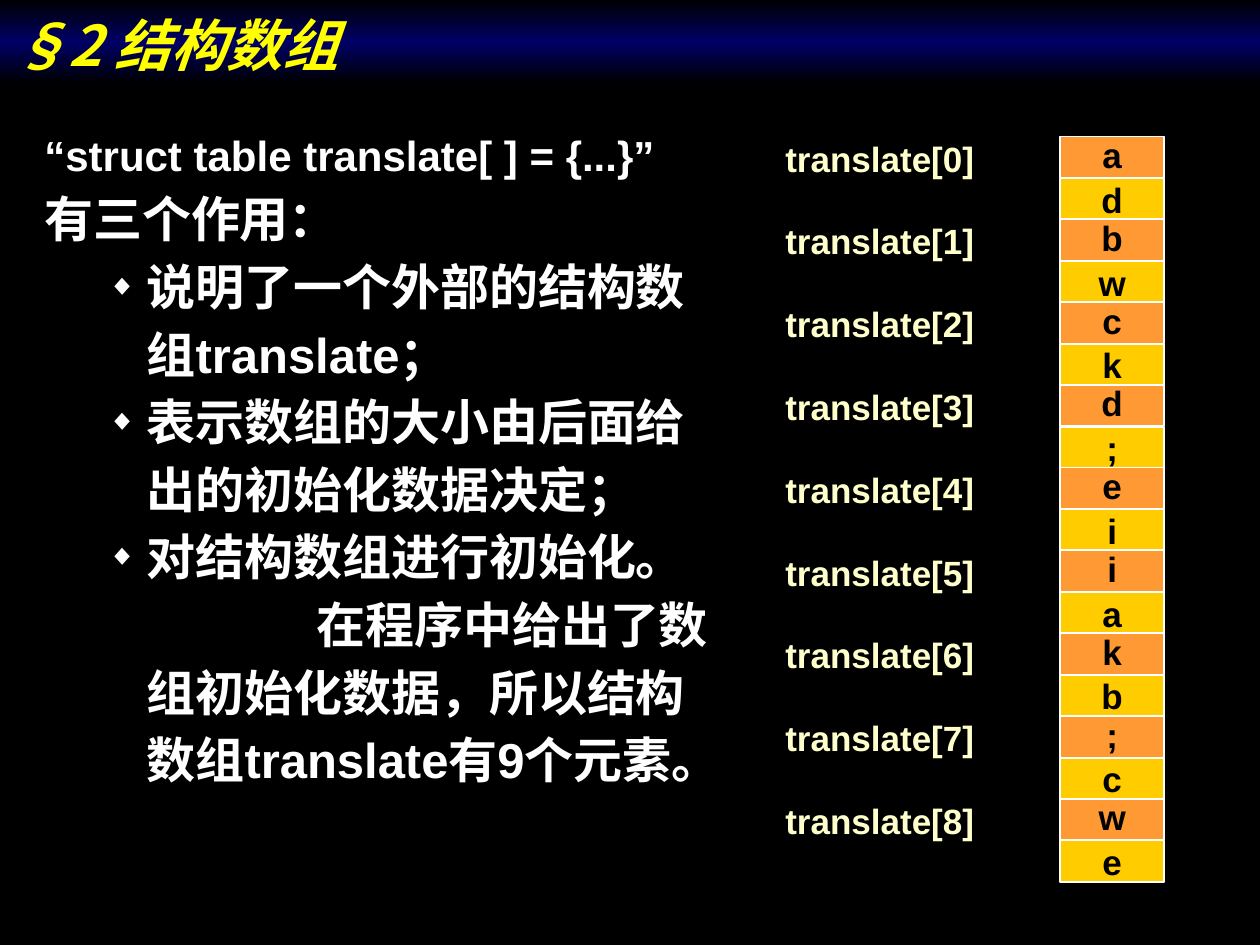
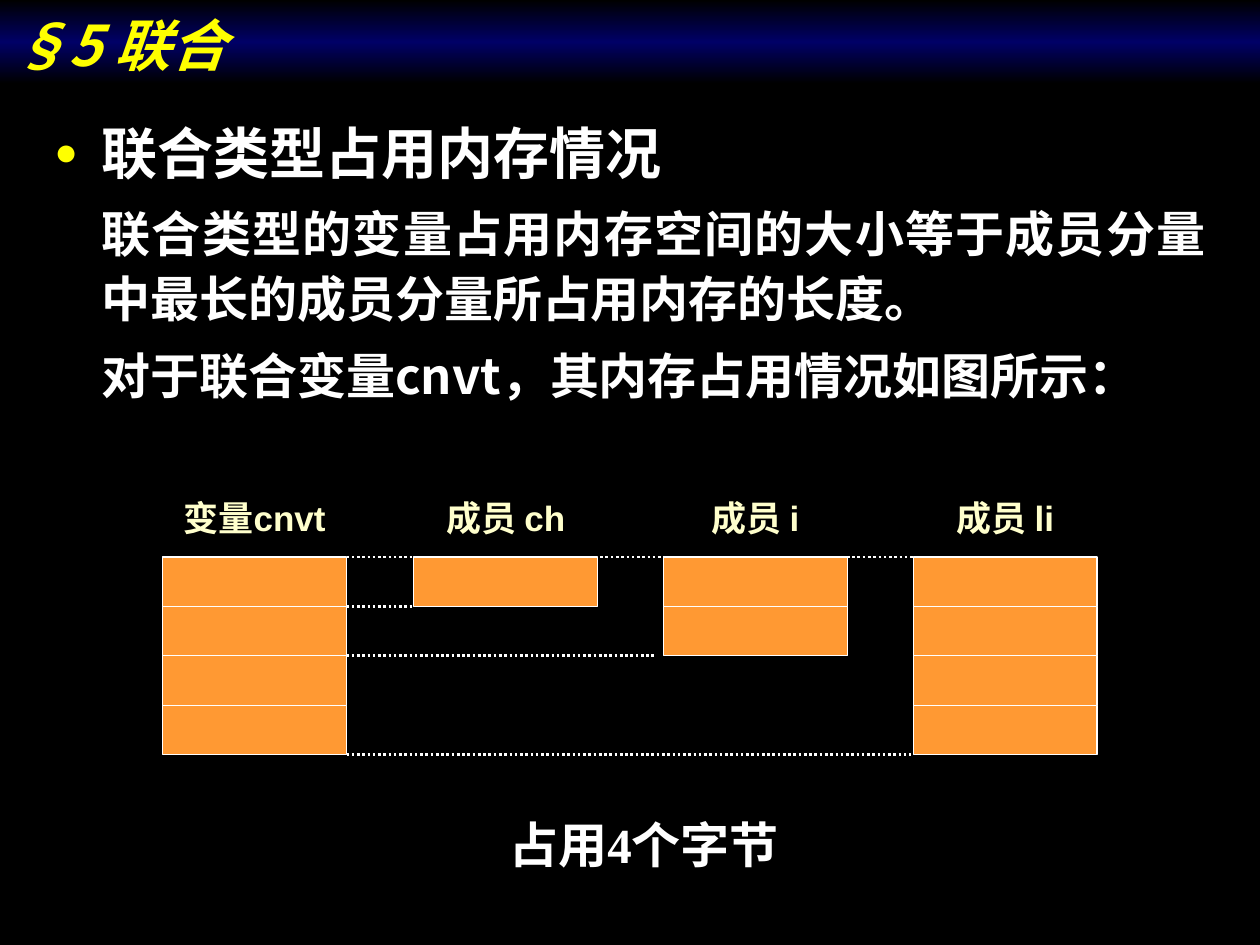
from lxml import etree
from copy import deepcopy
from pptx import Presentation
from pptx import util as u
from pptx.dml.color import RGBColor
from pptx.enum import dml, shapes, text
from pptx.oxml import ns

Pt = u.Pt
BLACK = RGBColor(0x00, 0x00, 0x00)
NAVY = RGBColor(0x00, 0x00, 0x66)
WHITE = RGBColor(0xFF, 0xFF, 0xFF)
YELLOW = RGBColor(0xFF, 0xFF, 0x00)
CREAM = RGBColor(0xFF, 0xFF, 0xCC)
ORANGE = RGBColor(0xFF, 0x99, 0x33)
GOLD = RGBColor(0xFF, 0xCC, 0x00)
SANS = "Arial"
HAN = "Noto Sans CJK SC"
SERIF = "Times New Roman"
LEFT, CENTER, JUSTIFY = text.PP_ALIGN.LEFT, text.PP_ALIGN.CENTER, text.PP_ALIGN.JUSTIFY
TOP, MIDDLE, BOTTOM = text.MSO_ANCHOR.TOP, text.MSO_ANCHOR.MIDDLE, text.MSO_ANCHOR.BOTTOM


def write(shape, words, size=20, font=SANS, color=WHITE, italic=False, align=LEFT,
          anchor=TOP, spacing=1.0, before=0, margin=0, indent=0, bullet=None):
    frame = shape.text_frame
    frame.word_wrap = True
    frame.vertical_anchor = anchor
    paragraph = frame.paragraphs[0]
    if paragraph.runs:
        paragraph = frame.add_paragraph()
    props = paragraph._p.get_or_add_pPr()
    props.set("marL", str(Pt(margin)))
    props.set("indent", str(Pt(indent)))
    if bullet:
        symbol, tint, percent = bullet
        clr = etree.SubElement(props, ns.qn("a:buClr"))
        etree.SubElement(clr, ns.qn("a:srgbClr"), val=str(tint))
        etree.SubElement(props, ns.qn("a:buSzPct"), val=str(percent * 1000))
        etree.SubElement(props, ns.qn("a:buFont"), typeface=SANS)
        etree.SubElement(props, ns.qn("a:buChar"), char=symbol)
    else:
        etree.SubElement(props, ns.qn("a:buNone"))
    paragraph.alignment = align
    paragraph.line_spacing = spacing
    paragraph.space_before = Pt(before)
    run = paragraph.add_run()
    run.text = words
    run.font.size = Pt(size)
    run.font.name = font
    run.font.bold = True
    run.font.italic = italic
    run.font.color.rgb = color
    etree.SubElement(run.font._element, ns.qn("a:ea"), typeface=HAN)


def block(slide, left, top, width, height, fill, line_width):
    cell = slide.shapes.add_shape(shapes.MSO_SHAPE.RECTANGLE, Pt(left), Pt(top), Pt(width), Pt(height))
    cell.shadow.inherit = False
    if fill is not None:
        cell.fill.solid()
        cell.fill.fore_color.rgb = fill
    if line_width:
        cell.line.color.rgb = WHITE
        cell.line.width = Pt(line_width)
    else:
        cell.line.fill.background()
    return cell


deck = Presentation()
deck.slide_width, deck.slide_height = Pt(720), Pt(540)
pages = []
for heading in ("§2 结构数组", "§5 联合"):
    page = deck.slides.add_slide(deck.slide_layouts[6])
    page.background.fill.solid()
    page.background.fill.fore_color.rgb = BLACK
    band = block(page, 0, 0, 720, 48, None, 0)
    band.fill.gradient()
    band.fill.gradient_angle = 90
    stops = band._element.spPr.find(".//" + ns.qn("a:gsLst"))
    stops.append(deepcopy(stops[-1]))
    for stop, shade, position in zip(band.fill.gradient_stops, (BLACK, NAVY, BLACK), (0, 0.5, 1)):
        stop.color.rgb = shade
        stop.position = position
    write(band, heading, size=32, font=HAN, color=YELLOW, italic=True, anchor=BOTTOM)
    pages.append(page)
array_page, union_page = pages

purposes = array_page.shapes.add_textbox(Pt(18.25), Pt(66.25), Pt(399), Pt(450))
write(purposes, "“struct table translate[ ] = {...}”", size=24, spacing=1.15)
write(purposes, "有三个作用：", size=28, spacing=1.15)
for purpose in ("说明了一个外部的结构数组translate；",
                "表示数组的大小由后面给出的初始化数据决定；",
                "对结构数组进行初始化。"):
    write(purposes, purpose, size=28, spacing=1.15, margin=58.5, indent=-22.5,
          bullet=("◆", WHITE, 60))
write(purposes, "在程序中给出了数组初始化数据，所以结构数组translate有9个元素。",
      size=28, spacing=1.15, margin=58.5, indent=97)

ELEMENT_PITCH = 47.3
for index, (source, target) in enumerate(("ad", "bw", "ck", "d;", "ei", "ia", "kb", ";c", "we")):
    top = 78 + index * ELEMENT_PITCH
    write(block(array_page, 605.75, top, 59.5, 23.75, ORANGE, 1), source,
          color=BLACK, align=CENTER, anchor=MIDDLE, spacing=0.9)
    write(block(array_page, 605.75, top + 24, 59.5, 23.75, GOLD, 1), target,
          color=BLACK, align=CENTER, anchor=MIDDLE)
    element = array_page.shapes.add_textbox(Pt(437.75), Pt(top + 0.5), Pt(130), Pt(23.75))
    write(element, f"translate[{index}]", color=CREAM, align=CENTER, anchor=MIDDLE)

memory = union_page.shapes.add_textbox(Pt(24), Pt(60.25), Pt(672), Pt(210))
write(memory, "联合类型占用内存情况", size=32, font=HAN, align=JUSTIFY, spacing=1.1,
      margin=27, indent=-27, bullet=("●", YELLOW, 70))
for sentence in ("联合类型的变量占用内存空间的大小等于成员分量中最长的成员分量所占用内存的长度。",
                 "对于联合变量cnvt，其内存占用情况如图所示："):
    write(memory, sentence, size=28, font=HAN, align=JUSTIFY, spacing=1.1, before=7, margin=27)

BYTES_TOP, BYTE_HEIGHT, BYTE_WIDTH = 318.25, 28.25, 105
for left, member, size_in_bytes in ((93, "变量cnvt", 4), (236.5, "成员 ch", 1),
                                    (379.25, "成员 i", 2), (522, "成员 li", 4)):
    for byte in range(size_in_bytes):
        block(union_page, left, BYTES_TOP + byte * BYTE_HEIGHT, BYTE_WIDTH, BYTE_HEIGHT, ORANGE, 0.75)
    label = union_page.shapes.add_textbox(Pt(left), Pt(281.5), Pt(BYTE_WIDTH), Pt(BYTE_HEIGHT))
    write(label, member, color=CREAM, align=CENTER, anchor=MIDDLE)

for start, end, byte in ((198, 237, 0), (198, 237, 1), (198, 375, 2),
                         (343, 382, 0), (484, 523, 0), (198, 520.5, 4)):
    level = Pt(BYTES_TOP + byte * BYTE_HEIGHT)
    guide = union_page.shapes.add_connector(shapes.MSO_CONNECTOR.STRAIGHT, Pt(start), level, Pt(end), level)
    guide.line.color.rgb = WHITE
    guide.line.width = Pt(1.5)
    guide.line.dash_style = dml.MSO_LINE.ROUND_DOT
    etree.SubElement(guide._element.spPr, ns.qn("a:effectLst"))

total = union_page.shapes.add_textbox(Pt(189.5), Pt(462), Pt(357), Pt(41))
write(total, "占用4个字节", size=28, font=SERIF, align=CENTER)

deck.save("out.pptx")
